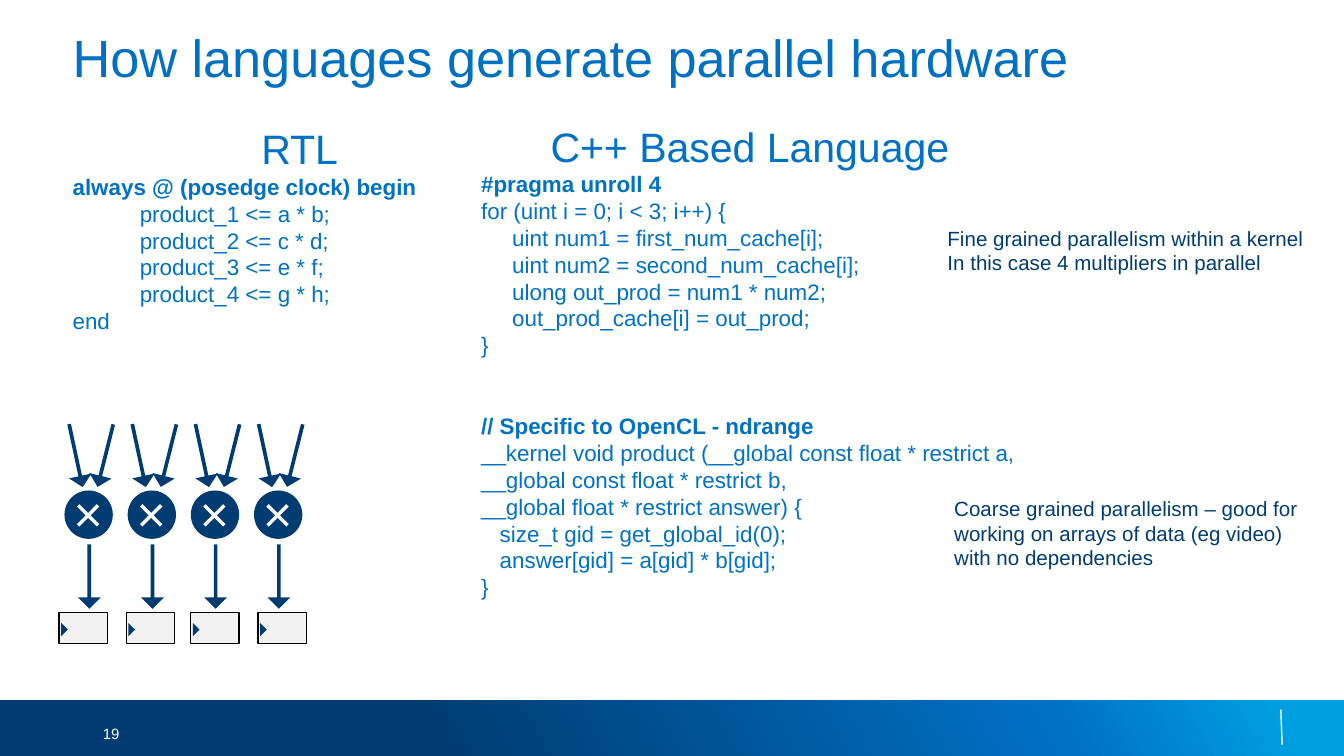
from lxml import etree
from pptx import Presentation
from pptx.dml.color import RGBColor
from pptx.enum.shapes import MSO_CONNECTOR, MSO_SHAPE as Preset
from pptx.enum.text import MSO_ANCHOR as Anchor, MSO_AUTO_SIZE as AutoSize, PP_ALIGN as Align
from pptx.oxml import parse_xml
from pptx.oxml.ns import nsdecls, qn
from pptx.util import Inches, Pt

COLORS = {"title": "0070C0", "code": "0071C5", "navy": "003C71", "sky": "009FDF",
          "white": "FFFFFF", "register": "F2F2F2", "black": "000000"}
FONT = "Arial"
LINE_HEIGHT = 14.4  # one 12 pt code line, in points


def add_solid(shapes, preset, box, color, rotation=0, adjustments=()):
    shape = shapes.add_shape(preset, *[Inches(length) for length in box])
    shape.shadow.inherit = False
    shape.fill.solid()
    shape.fill.fore_color.rgb = RGBColor.from_string(COLORS[color])
    shape.line.fill.background()
    shape.rotation = rotation
    for index, value in enumerate(adjustments):
        shape.adjustments[index] = value
    return shape


def write_text(shape, box, lines, anchor=Anchor.TOP, wrap=True):
    """Place a text shape; each line is (text, size, color, bold, alignment, space before)."""
    shape.left, shape.top, shape.width, shape.height = [Inches(length) for length in box]
    frame = shape.text_frame
    frame.margin_left = frame.margin_right = frame.margin_top = frame.margin_bottom = 0
    frame.word_wrap = wrap
    frame.auto_size = AutoSize.NONE
    frame.vertical_anchor = anchor
    for index, (text, size, color, bold, alignment, before) in enumerate(lines):
        paragraph = frame.paragraphs[0] if index == 0 else frame.add_paragraph()
        properties = paragraph._p.get_or_add_pPr()
        properties.set("marL", "0")
        properties.set("indent", "0")
        etree.SubElement(properties, qn("a:buNone"))
        if text.startswith("\t"):
            tabs = etree.SubElement(properties, qn("a:tabLst"))
            etree.SubElement(tabs, qn("a:tab"), pos=str(Inches(0.5)), algn="l")
        paragraph.alignment = alignment
        paragraph.space_before = Pt(before)
        run = paragraph.add_run()
        run.text = text
        run.font.name, run.font.size, run.font.bold = FONT, Pt(size), bold
        run.font.color.rgb = RGBColor.from_string(COLORS[color])


presentation = Presentation()
presentation.slide_width = Inches(10)
presentation.slide_height = presentation.slide_width * 9 // 16
slide = presentation.slides.add_slide(presentation.slide_layouts[3])
shapes = slide.shapes
title, rtl_body, cpp_body = slide.placeholders

# Footer band with gradient, divider and slide number
band = add_solid(shapes, Preset.RECTANGLE, (0, 5.21, 10, 0.42), "navy")
stops = "".join(
    f'<a:gs pos="{share * 1000}"><a:srgbClr val="{COLORS[color]}"/></a:gs>'
    for share, color in ((32, "navy"), (78, "code"), (95, "sky")))
gradient = parse_xml(f'<a:gradFill {nsdecls("a")} rotWithShape="1"><a:gsLst>{stops}</a:gsLst>'
                     f'<a:lin ang="{331 * 60000}" scaled="0"/></a:gradFill>')
solid = band._element.spPr.find(qn("a:solidFill"))
solid.getparent().replace(solid, gradient)

divider = shapes.add_connector(MSO_CONNECTOR.STRAIGHT, Inches(9.53), Inches(5.28),
                               Inches(9.54), Inches(5.54))
divider.line.color.rgb = RGBColor.from_string(COLORS["white"])
divider.line.width = Pt(0.75)
etree.SubElement(divider._element.spPr, qn("a:effectLst"))

number_box = (0.13, 5.34, 0.76, 0.23)
write_text(shapes.add_textbox(0, 0, 0, 0), number_box,
           [("19", 8, "white", False, Align.RIGHT, 0)], Anchor.MIDDLE)

# Title
write_text(title, (0.54, 0.1, 9.18, 0.64),
           [("How languages generate parallel hardware", 28, "title", False, Align.LEFT, 0)],
           Anchor.MIDDLE)

# Code columns: heading, then code lines; the bold lines open a block
rtl_code = ["always @ (posedge clock) begin",
            "\tproduct_1 <= a * b;",
            "\tproduct_2 <= c * d;",
            "\tproduct_3 <= e * f;",
            "\tproduct_4 <= g * h;",
            "end"]
cpp_code = ["#pragma unroll 4",
            "for (uint i = 0; i < 3; i++) {",
            "     uint num1 = first_num_cache[i];",
            "     uint num2 = second_num_cache[i];",
            "     ulong out_prod = num1 * num2;",
            "     out_prod_cache[i] = out_prod;",
            "}",
            "// Specific to OpenCL - ndrange",
            "__kernel void product (__global const float * restrict a,",
            "__global const float * restrict b,",
            "__global float * restrict answer) {",
            "   size_t gid = get_global_id(0);",
            "   answer[gid] = a[gid] * b[gid];",
            "}"]
for body, box, heading, code in (
        (rtl_body, (0.54, 0.92, 3.38, 1.85), "RTL", rtl_code),
        (cpp_body, (3.58, 0.9, 4, 4.18), "C++ Based Language", cpp_code)):
    lines = [(heading, 22, "code", False, Align.CENTER, 0)]
    for index, text in enumerate(code):
        opens_second_block = text.startswith("//")
        lines.append((text, 12, "code", index == 0 or opens_second_block, Align.LEFT,
                      2 * LINE_HEIGHT if opens_second_block else 0))
    write_text(body, box, lines)

# Notes on parallelism
for box, wrap, texts in (
        ((7.05, 1.68, 2.67, 0.37), False,
         ["Fine grained parallelism within a kernel", "In this case 4 multipliers in parallel"]),
        ((7.1, 3.69, 2.62, 0.56), True,
         ["Coarse grained parallelism – good for working on arrays of data (eg video) "
          "with no dependencies"])):
    write_text(shapes.add_textbox(0, 0, 0, 0), box,
               [(text, 11, "navy", False, Align.LEFT, 0) for text in texts], wrap=wrap)

# Four multipliers, each with two inputs and one output
multipliers = shapes.add_group_shape().shapes
column_width = 0.47
for column in range(4):
    left = 0.48 + column * column_width
    add_solid(multipliers, Preset.OVAL, (left, 3.65, 0.36, 0.36), "navy")
    add_solid(multipliers, Preset.CROSS, (left + 0.07, 3.73, 0.21, 0.21), "white", 45, [0.44])
    for offset, top, rotation in ((0, 3.15, 347.9), (0.22, 3.15, 14.1), (0.1, 4.05, 0)):
        add_solid(multipliers, Preset.DOWN_ARROW, (left + offset, top, 0.17, 0.48),
                  "navy", rotation, [0.16, 0.5])

# Registers with clock marks
for left in (0.44, 0.94, 1.42, 1.92):
    register = add_solid(shapes, Preset.RECTANGLE, (left, 4.56, 0.36, 0.23), "register")
    register.line.color.rgb = RGBColor.from_string(COLORS["black"])
    register.line.width = Pt(0.75)
    add_solid(shapes, Preset.ISOSCELES_TRIANGLE, (left - 0.01, 4.66, 0.1, 0.05), "navy", 90)

presentation.save("out.pptx")
